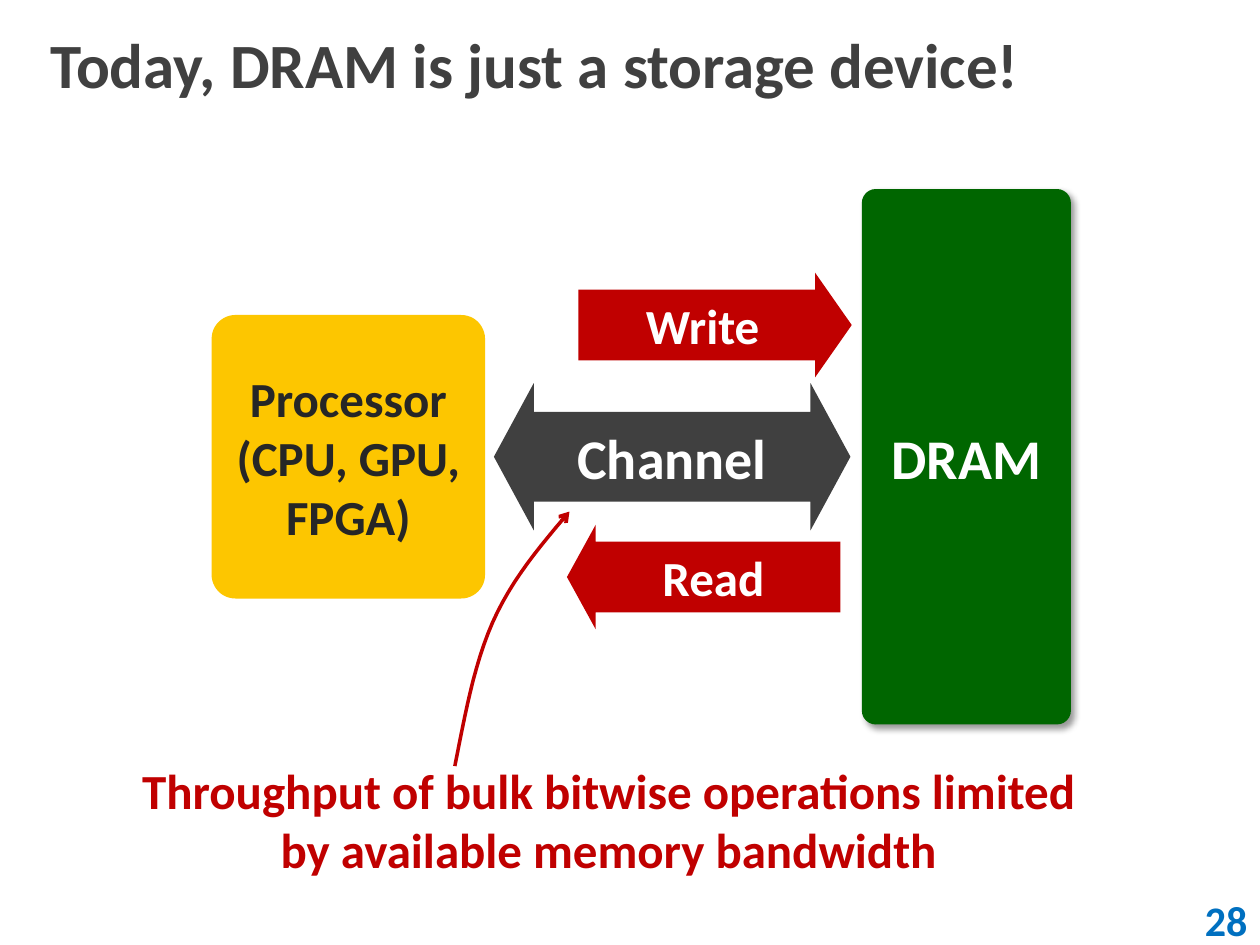
from lxml import etree
from pptx import Presentation
from pptx import util as u
from pptx.dml.color import RGBColor
from pptx.enum import shapes, text
from pptx.oxml import ns

WHITE = RGBColor(0xFF, 0xFF, 0xFF)
GRAY = RGBColor(0x40, 0x40, 0x40)
DARK = RGBColor(0x26, 0x26, 0x26)
BLUE = RGBColor(0x00, 0x70, 0xC0)
YELLOW = RGBColor(0xFD, 0xC6, 0x00)
GREEN = RGBColor(0x00, 0x66, 0x00)
RED = RGBColor(0xC0, 0x00, 0x00)
FONT = "Calibri"
SHAPE = shapes.MSO_SHAPE
ALIGN = text.PP_ALIGN


def place(shape, box):
    shape.left, shape.top, shape.width, shape.height = map(u.Inches, box)


def write(shape, lines, size, color, align=ALIGN.CENTER, anchor=text.MSO_ANCHOR.MIDDLE):
    frame = shape.text_frame
    frame.word_wrap = True
    frame.vertical_anchor = anchor
    for index, line in enumerate(lines):
        paragraph = frame.add_paragraph() if index else frame.paragraphs[0]
        paragraph.alignment = align
        run = paragraph.add_run()
        run.text = line
        run.font.name = FONT
        run.font.size = u.Pt(size)
        run.font.bold = True
        run.font.color.rgb = color


def add_block(slide, kind, box, fill, lines, size, color=WHITE, adjustments=(), align=ALIGN.CENTER):
    shape = slide.shapes.add_shape(kind, *map(u.Inches, box))
    shape.shadow.inherit = False
    shape.fill.solid()
    shape.fill.fore_color.rgb = fill
    shape.line.fill.background()
    for index, value in enumerate(adjustments):
        shape.adjustments[index] = value
    write(shape, lines, size, color, align)
    return shape


def add_shadow(shape):
    effects = shape.element.spPr.find(ns.qn("a:effectLst"))
    shadow = etree.SubElement(effects, ns.qn("a:outerShdw"), blurRad=str(u.Pt(4)),
                              dist=str(u.Pt(3)), dir=str(45 * 60000), rotWithShape="0")
    color = etree.SubElement(shadow, ns.qn("a:srgbClr"), val="000000")
    etree.SubElement(color, ns.qn("a:alpha"), val="40000")


def add_title(slide, box):
    title = slide.shapes.title
    place(title, box)
    title.text_frame.margin_left = u.Inches(0.4)
    write(title, ["Today, DRAM is just a storage device!"], 36, GRAY, ALIGN.LEFT)


def add_diagram(slide, box):
    left, top, width, height = box
    middle = top + height / 2
    dram_width = 1.66
    dram_left = left + width - dram_width
    add_block(slide, SHAPE.ROUNDED_RECTANGLE, (left, middle - 1.125, 2.17, 2.25), YELLOW,
              ["Processor", "(CPU, GPU, FPGA)"], 28, DARK, [0.087])
    dram = add_block(slide, SHAPE.ROUNDED_RECTANGLE, (dram_left, top, dram_width, height),
                     GREEN, ["DRAM"], 32, adjustments=[0.067])
    add_shadow(dram)
    add_block(slide, SHAPE.LEFT_RIGHT_ARROW, (left + 2.24, middle - 0.585, 2.83, 1.17), GRAY,
              ["Channel"], 32, adjustments=[0.608, 0.271])
    transfers = [
        (SHAPE.RIGHT_ARROW, "Write", 2.91, -1.46, 0.35),
        (SHAPE.LEFT_ARROW, "Read", 2.82, 0.54, 0.275),
    ]
    for kind, label, across, down, head in transfers:
        add_block(slide, kind, (left + across, middle + down, 2.17, 0.83), RED,
                  [label], 28, adjustments=[0.675, head])


def bezier_point(points, t):
    weights = ((1 - t) ** 3, 3 * t * (1 - t) ** 2, 3 * t * t * (1 - t), t ** 3)
    return tuple(u.Inches(sum(w * p[axis] for w, p in zip(weights, points))) for axis in (0, 1))


def add_pointer(slide, points, steps=12):
    curve = [bezier_point(points[start:start + 4], step / steps)
             for start in range(0, len(points) - 1, 3) for step in range(1, steps + 1)]
    builder = slide.shapes.build_freeform(*map(u.Inches, points[0]))
    builder.add_line_segments(curve, close=False)
    pointer = builder.convert_to_shape()
    pointer.shadow.inherit = False
    pointer.fill.background()
    pointer.line.color.rgb = RED
    pointer.line.width = u.Pt(2)
    etree.SubElement(pointer.line._get_or_add_ln(), ns.qn("a:tailEnd"), type="arrow")


def add_conclusion(slide, box):
    conclusion = slide.shapes.add_textbox(*map(u.Inches, box))
    write(conclusion, ["Throughput of bulk bitwise operations limited by available memory bandwidth"],
          28, RED, anchor=text.MSO_ANCHOR.TOP)


def main():
    presentation = Presentation()
    presentation.slide_width = u.Inches(10)
    presentation.slide_height = u.Inches(7.5)
    slide = presentation.slides.add_slide(presentation.slide_layouts[5])
    add_title(slide, (0, 0, 10, 1))
    add_block(slide, SHAPE.RECTANGLE, (8, 7.1, 2, 0.4), WHITE, ["28"], 24, BLUE, align=ALIGN.RIGHT)
    add_diagram(slide, (1.68, 1.5, 6.82, 4.25))
    add_conclusion(slide, (0.83, 5.99, 8, 1.04))
    add_pointer(slide, [(3.61, 6.08), (3.69, 5.68), (3.76, 5.28), (3.91, 4.94),
                        (4.06, 4.6), (4.29, 4.33), (4.52, 4.06)])
    presentation.save("out.pptx")


if __name__ == "__main__":
    main()
